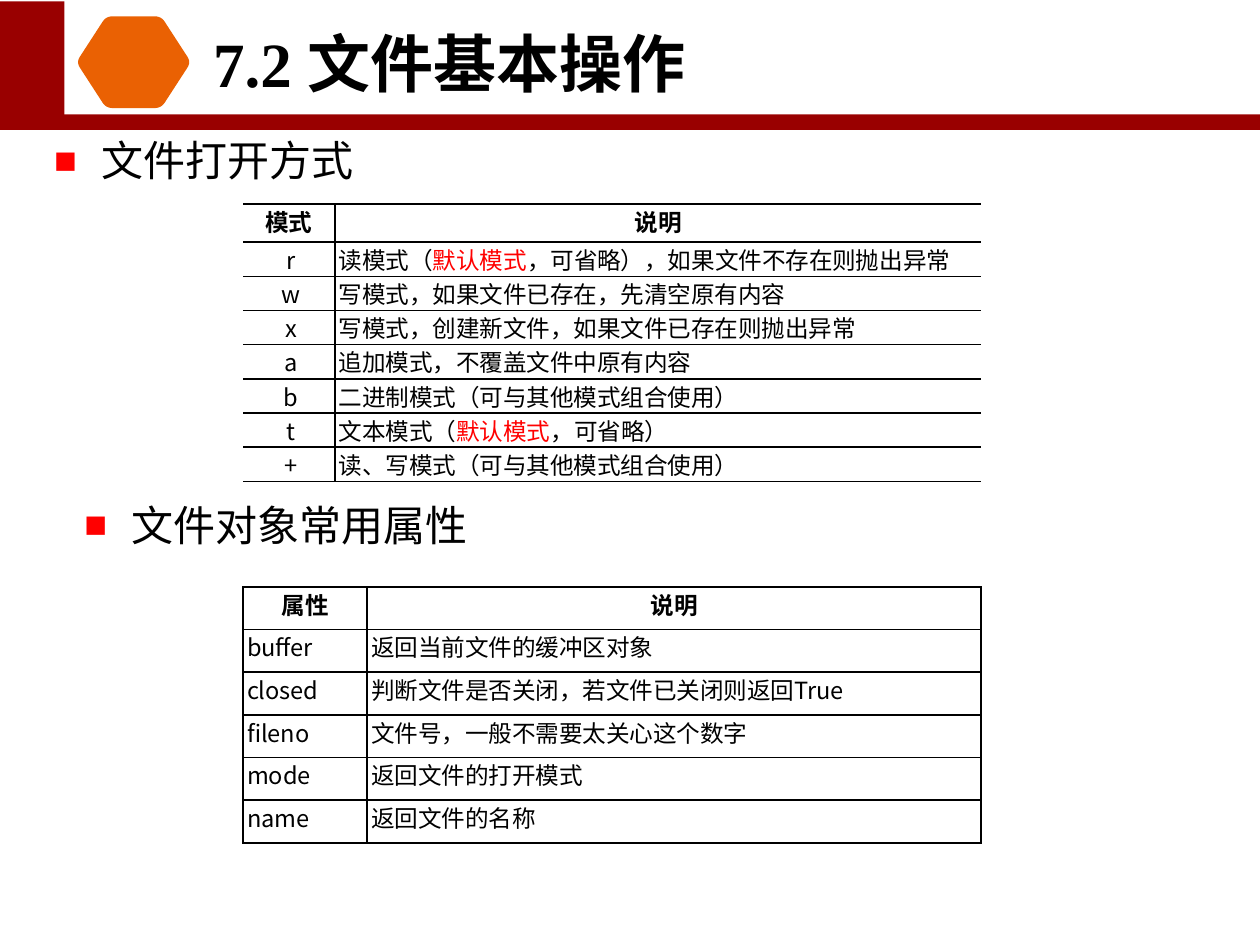
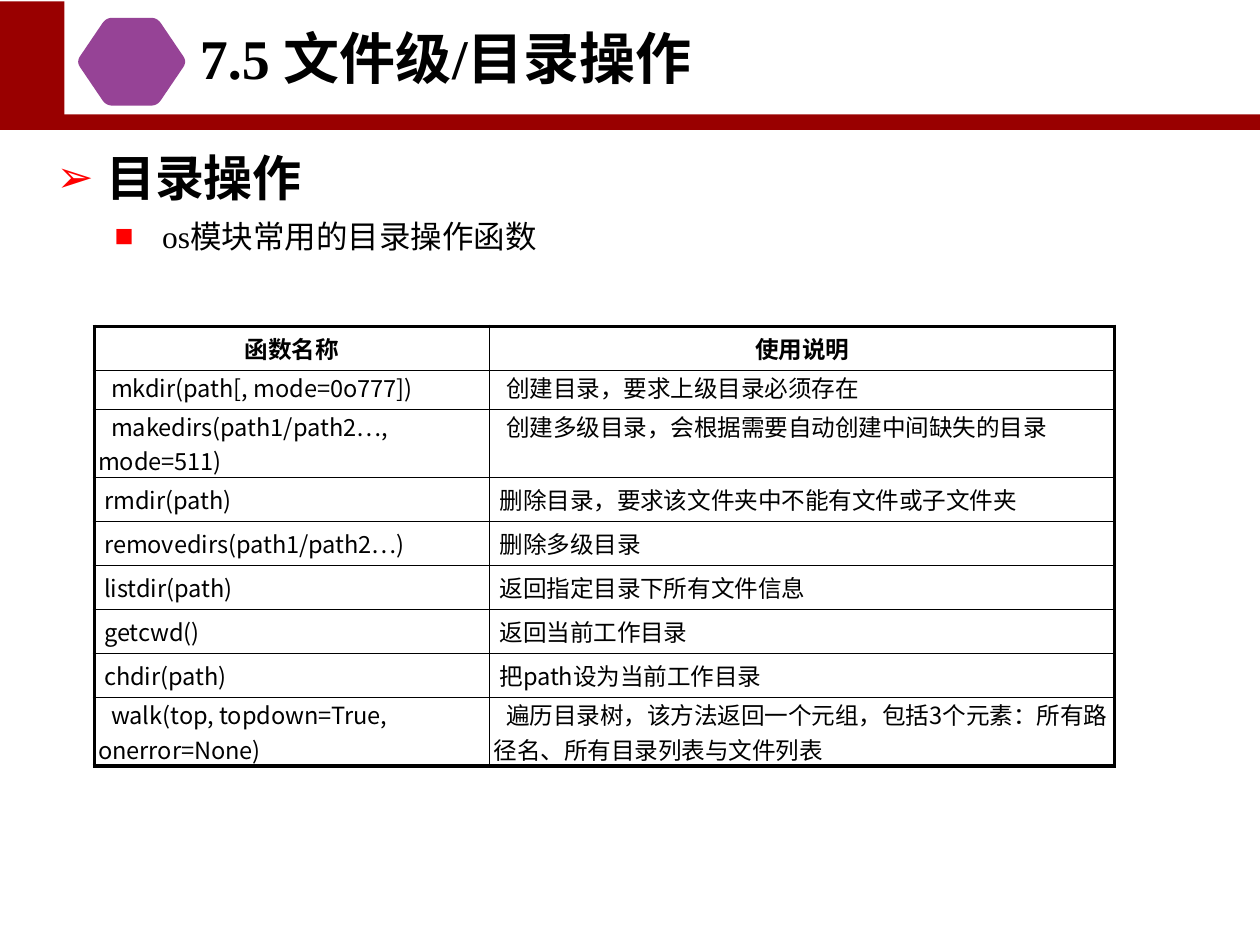
from dataclasses import dataclass

from lxml.etree import SubElement
from pptx import Presentation
from pptx.dml.color import RGBColor
from pptx.enum.shapes import MSO_SHAPE
from pptx.enum.text import MSO_ANCHOR, MSO_AUTO_SIZE, PP_ALIGN
from pptx.oxml.ns import qn
from pptx.util import Cm, Pt

BLACK = RGBColor(0x00, 0x00, 0x00)
WHITE = RGBColor(0xFF, 0xFF, 0xFF)
RED = RGBColor(0xFF, 0x00, 0x00)
DARK_RED = RGBColor(0x99, 0x00, 0x00)
ORANGE = RGBColor(0xEA, 0x61, 0x03)
PURPLE = RGBColor(0x96, 0x43, 0x96)

SERIF = "Times New Roman"
SANS = "Arial"
CHINESE = "Noto Sans CJK SC"
HIGHLIGHT = "默认模式"
THIN_LINE = 1.0


@dataclass
class Area:
    """A rectangle in centimetres."""
    left: float
    top: float
    width: float
    height: float

    def lengths(self) -> tuple:
        return Cm(self.left), Cm(self.top), Cm(self.width), Cm(self.height)


@dataclass
class Heading:
    text: str
    size: int
    area: Area
    icon_color: RGBColor
    icon_area: Area


@dataclass
class Bullet:
    text: str
    size: int
    area: Area
    mark_percent: int = 90


@dataclass
class Grid:
    left: float
    top: float
    columns: list
    heights: list
    rows: list
    side_line: float = THIN_LINE
    edge_line: float = THIN_LINE
    key_align: PP_ALIGN = PP_ALIGN.LEFT
    padded: bool = False
    indented_rows: tuple = ()


MODES = Grid(
    4.9, 4.11, [1.85, 13.03], [0.77] + [0.69] * 7,
    [("模式", "说明"),
     ("r", "读模式（默认模式，可省略），如果文件不存在则抛出异常"),
     ("w", "写模式，如果文件已存在，先清空原有内容"),
     ("x", "写模式，创建新文件，如果文件已存在则抛出异常"),
     ("a", "追加模式，不覆盖文件中原有内容"),
     ("b", "二进制模式（可与其他模式组合使用）"),
     ("t", "文本模式（默认模式，可省略）"),
     ("+", "读、写模式（可与其他模式组合使用）")],
    side_line=0, key_align=PP_ALIGN.CENTER)

ATTRIBUTES = Grid(
    4.9, 11.83, [2.5, 12.38], [0.86] * 6,
    [("属性", "说明"),
     ("buffer", "返回当前文件的缓冲区对象"),
     ("closed", "判断文件是否关闭，若文件已关闭则返回True"),
     ("fileno", "文件号，一般不需要太关心这个数字"),
     ("mode", "返回文件的打开模式"),
     ("name", "返回文件的名称")])

FUNCTIONS = Grid(
    1.9, 6.58, [7.97, 12.6],
    [0.79, 0.79, 1.14, 0.84, 0.76, 0.81, 0.76, 0.76, 1.24],
    [("函数名称", "使用说明"),
     ("mkdir(path[, mode=0o777])", "创建目录，要求上级目录必须存在"),
     ("makedirs(path1/path2…, mode=511)",
      "创建多级目录，会根据需要自动创建中间缺失的目录"),
     ("rmdir(path)", "删除目录，要求该文件夹中不能有文件或子文件夹"),
     ("removedirs(path1/path2…)", "删除多级目录"),
     ("listdir(path)", "返回指定目录下所有文件信息"),
     ("getcwd()", "返回当前工作目录"),
     ("chdir(path)", "把path设为当前工作目录"),
     ("walk(top, topdown=True, onerror=None)",
      "遍历目录树，该方法返回一个元组，包括3个元素：所有路径名、所有目录列表与文件列表")],
    side_line=2.25, edge_line=2.25, padded=True, indented_rows=(1, 2, 8))


# Text
def set_font(para, size: float, name: str, bold: bool = False) -> None:
    font = para.font
    font.size, font.bold, font.name = Pt(size), bold, name
    font.color.rgb = BLACK
    defaults = para._p.pPr.find(qn("a:defRPr"))
    SubElement(defaults, qn("a:ea"), typeface=CHINESE)


def set_bullet(para, mark: str, percent: int, indent: float) -> None:
    """Must run before set_font, which adds the last child."""
    props = para._p.get_or_add_pPr()
    props.set("marL", str(Cm(indent)))
    props.set("indent", str(-Cm(indent)))
    color = SubElement(props, qn("a:buClr"))
    SubElement(color, qn("a:srgbClr"), val=str(RED))
    SubElement(props, qn("a:buSzPct"), val=str(percent * 1000))
    SubElement(props, qn("a:buFont"), typeface=SANS)
    SubElement(props, qn("a:buChar"), char=mark)


def place(shape, area: Area) -> None:
    shape.left, shape.top, shape.width, shape.height = area.lengths()
    shape.text_frame.auto_size = MSO_AUTO_SIZE.NONE
    shape.text_frame.word_wrap = True


def write_bullet(shape, bullet: Bullet) -> None:
    place(shape, bullet.area)
    frame = shape.text_frame
    frame.vertical_anchor = MSO_ANCHOR.TOP
    frame.margin_left = frame.margin_right = Cm(0.2)
    frame.margin_top = 0
    para = frame.paragraphs[0]
    para.text = bullet.text
    set_bullet(para, "■", bullet.mark_percent, 0.96)
    para.space_before = Pt(0)
    set_font(para, bullet.size, SERIF)


def add_section(page, text: str, area: Area) -> None:
    box = page.shapes.add_textbox(*area.lengths())
    place(box, area)
    box.text_frame.margin_right = 0
    para = box.text_frame.paragraphs[0]
    para.text = text
    set_bullet(para, "➢", 90, 1.0)
    para.line_spacing = 1.5
    para.space_before = para.space_after = Pt(6)
    set_font(para, 28, SANS, bold=True)


# Shared band and heading
def paint(shape, color: RGBColor) -> None:
    shape.shadow.inherit = False
    shape.fill.solid()
    shape.fill.fore_color.rgb = color
    shape.line.fill.background()


def move_to_layout(page, bands: list) -> None:
    """Draw the bands once, at the back of the layout both slides use."""
    tree = page.slide_layout.shapes.element
    for position, (color, area) in enumerate(bands, start=2):
        band = page.shapes.add_shape(MSO_SHAPE.RECTANGLE, *area.lengths())
        paint(band, color)
        tree.insert(position, band.element)


def rounded_hexagon(area: Area, inset: float = 0.6, trim: float = 0.13) -> list:
    """Outline points in centimetres, each corner a short quadratic curve."""
    left, top = area.left, area.top
    right, bottom = left + area.width, top + area.height
    middle = top + area.height / 2
    corners = [(left + inset, top), (right - inset, top), (right, middle),
               (right - inset, bottom), (left + inset, bottom), (left, middle)]

    def toward(start: tuple, end: tuple) -> tuple:
        dx, dy = end[0] - start[0], end[1] - start[1]
        share = trim / (dx * dx + dy * dy) ** 0.5
        return start[0] + dx * share, start[1] + dy * share

    points = []
    for index, corner in enumerate(corners):
        entry = toward(corner, corners[index - 1])
        leave = toward(corner, corners[(index + 1) % 6])
        for step in range(7):
            t = step / 6
            points.append(tuple(
                (1 - t) ** 2 * a + 2 * t * (1 - t) * b + t * t * c
                for a, b, c in zip(entry, corner, leave)))
    return points


def add_heading(page, heading: Heading) -> None:
    title = page.shapes.title
    place(title, heading.area)
    title.text_frame.vertical_anchor = MSO_ANCHOR.MIDDLE
    para = title.text_frame.paragraphs[0]
    para.text = heading.text
    para.alignment = PP_ALIGN.CENTER
    set_font(para, heading.size, SERIF, bold=True)

    points = [(Cm(x), Cm(y)) for x, y in rounded_hexagon(heading.icon_area)]
    builder = page.shapes.build_freeform(*points[0])
    builder.add_line_segments(points[1:], close=True)
    icon = builder.convert_to_shape()
    paint(icon, heading.icon_color)
    page.shapes.element.insert(2, icon.element)


# Tables
def set_border(cell, side: str, width: float) -> None:
    line = SubElement(cell._tc.get_or_add_tcPr(), qn(f"a:ln{side}"),
                      w=str(Pt(width)))
    if width:
        fill = SubElement(line, qn("a:solidFill"))
        SubElement(fill, qn("a:srgbClr"), val=str(BLACK))
    else:
        SubElement(line, qn("a:noFill"))


def fill_cell(cell, text: str, grid: Grid, row: int, column: int) -> None:
    header, indented = row == 0, row in grid.indented_rows
    roomy = grid.padded and not indented
    side = 0.2 if roomy else 0 if header else 0.08
    cell.margin_left = Cm(side)
    cell.margin_right = Cm(0.2 if roomy else 0)
    cell.margin_top = cell.margin_bottom = Cm(0.1 if roomy else 0)

    para = cell.text_frame.paragraphs[0]
    centred = header or (column == 0 and grid.key_align == PP_ALIGN.CENTER)
    para.alignment = PP_ALIGN.CENTER if centred else PP_ALIGN.LEFT
    if indented:
        para._p.get_or_add_pPr().set("indent", str(Cm(0.26)))
    set_font(para, 13.5, CHINESE, bold=header)
    for part in filter(None, text.partition(HIGHLIGHT)):
        span = para.add_run()
        span.text = part
        if part == HIGHLIGHT:
            span.font.color.rgb = RED

    last_row, last_column = len(grid.rows) - 1, len(grid.columns) - 1
    set_border(cell, "L", grid.side_line if column == 0 else THIN_LINE)
    set_border(cell, "R", grid.side_line if column == last_column else THIN_LINE)
    set_border(cell, "T", grid.edge_line if row == 0 else THIN_LINE)
    set_border(cell, "B", grid.edge_line if row == last_row else THIN_LINE)
    cell.fill.background()


def add_grid(page, grid: Grid) -> None:
    area = Area(grid.left, grid.top, sum(grid.columns), sum(grid.heights))
    table = page.shapes.add_table(
        len(grid.rows), len(grid.columns), *area.lengths()).table
    table.first_row = table.horz_banding = False
    for column, width in zip(table.columns, grid.columns):
        column.width = Cm(width)
    for row, height in zip(table.rows, grid.heights):
        row.height = Cm(height)
    for row, texts in enumerate(grid.rows):
        for column, text in enumerate(texts):
            fill_cell(table.cell(row, column), text, grid, row, column)


def main() -> None:
    deck = Presentation()
    deck.slide_width, deck.slide_height = Cm(25.4), Cm(19.05)
    layout = deck.slide_layouts[1]

    # Opening modes and file attributes
    page = deck.slides.add_slide(layout)
    move_to_layout(page, [(DARK_RED, Area(0, 0.03, 25.4, 2.59)),
                          (WHITE, Area(1.3, 0, 24.1, 2.31))])
    add_heading(page, Heading("7.2 文件基本操作", 36, Area(0.41, 0.36, 17.3, 1.8),
                              ORANGE, Area(1.54, 0.33, 2.31, 1.85)))
    write_bullet(page.placeholders[1],
                 Bullet("文件打开方式", 24, Area(0.89, 2.72, 22.86, 13)))
    add_grid(page, MODES)
    second = Bullet("文件对象常用属性", 24, Area(1.5, 10.06, 22.86, 13))
    write_bullet(page.shapes.add_textbox(*second.area.lengths()), second)
    add_grid(page, ATTRIBUTES)

    # Directory functions
    page = deck.slides.add_slide(layout)
    add_heading(page, Heading("7.5 文件级/目录操作", 32, Area(-0.71, 0.33, 19.4, 1.63),
                              PURPLE, Area(1.54, 0.36, 2.23, 1.77)))
    write_bullet(page.placeholders[1],
                 Bullet("os模块常用的目录操作函数", 18, Area(2.11, 4.37, 22.86, 13), 100))
    add_grid(page, FUNCTIONS)
    add_section(page, "目录操作", Area(0.89, 2.26, 5.49, 1.83))

    deck.save("out.pptx")


if __name__ == "__main__":
    main()
